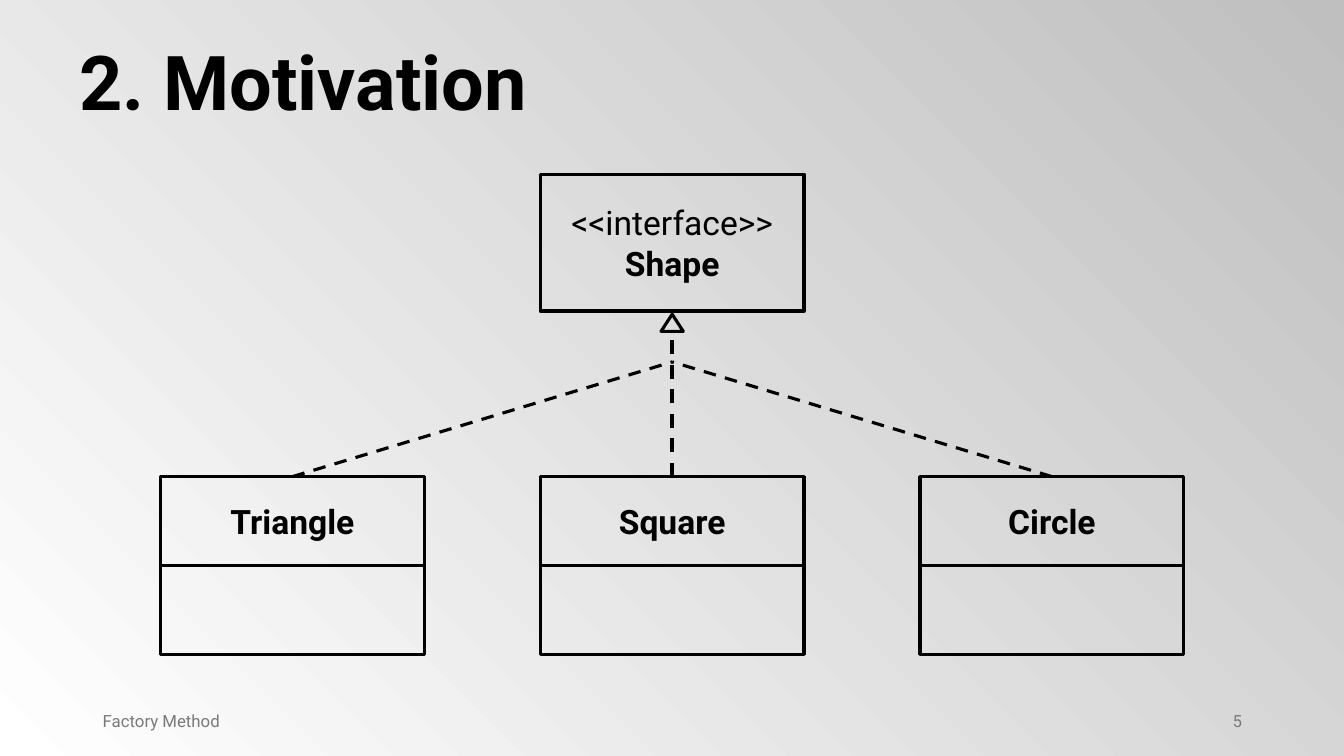
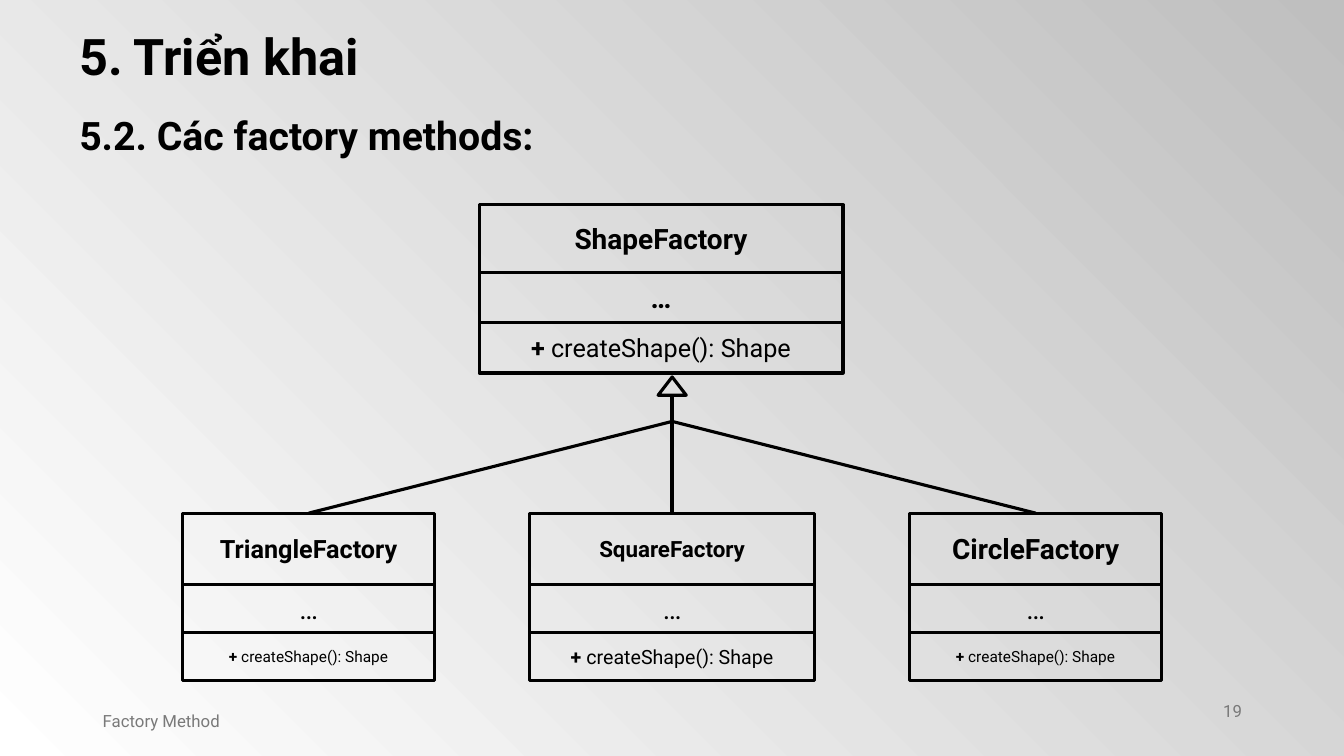
from lxml import etree
from pptx import Presentation
from pptx import util as u
from pptx.dml import color
from pptx.enum import dml, shapes, text
from pptx.oxml import ns

Cm = u.Cm
BLACK = color.RGBColor(0x00, 0x00, 0x00)
WHITE = color.RGBColor(0xFF, 0xFF, 0xFF)
SILVER = color.RGBColor(0xBF, 0xBF, 0xBF)
GREY = color.RGBColor(0x79, 0x79, 0x79)
FONT = "Roboto"
MARGIN = 1.75
CENTRE = 16.94
OUTLINE = 2.25
ALIGN = text.PP_ALIGN
ANCHOR = text.MSO_ANCHOR
OPERATION = [("+ ", True), ("createShape(): Shape", False)]


def write(frame, *lines, size, ink=BLACK, align=ALIGN.CENTER,
          anchor=ANCHOR.MIDDLE, fit=False):
    """Fill a frame; each line is a list of (words, bold) pairs."""
    frame.word_wrap = True
    frame.vertical_anchor = anchor
    if fit:
        frame.auto_size = text.MSO_AUTO_SIZE.SHAPE_TO_FIT_TEXT
    for number, line in enumerate(lines):
        paragraph = frame.add_paragraph() if number else frame.paragraphs[0]
        paragraph.alignment = align
        for words, bold in line:
            run = paragraph.add_run()
            run.text = words
            run.font.name = FONT
            run.font.size = u.Pt(size)
            run.font.bold = bold
            run.font.color.rgb = ink


def label(slide, words, left, top, width, height, bold=False, **style):
    box = slide.shapes.add_textbox(Cm(left), Cm(top), Cm(width), Cm(height))
    write(box.text_frame, [(words, bold)], **style)


def heading(slide, words, top, height, size):
    label(slide, words, MARGIN, top, 22.65, height, bold=True, size=size,
          align=ALIGN.LEFT, anchor=ANCHOR.TOP, fit=True)


def footer(slide, number, number_top):
    label(slide, "Factory Method", 2.34, 17.65, 7.62, 1.02,
          size=12, ink=GREY, align=ALIGN.LEFT)
    label(slide, number, 23.93, number_top, 7.62, 1.02,
          size=12, ink=GREY, align=ALIGN.RIGHT)


def outlined(slide, kind, left, top, width, height):
    shape = slide.shapes.add_shape(kind, Cm(left), Cm(top), Cm(width), Cm(height))
    shape.shadow.inherit = False
    shape.fill.background()
    shape.line.color.rgb = BLACK
    shape.line.width = u.Pt(OUTLINE)
    return shape


def class_box(slide, centre, top, width, rows):
    """Stack compartments; each row is (height, size, lines)."""
    for height, size, lines in rows:
        row = outlined(slide, shapes.MSO_SHAPE.RECTANGLE,
                       centre - width / 2, top, width, height)
        write(row.text_frame, *lines, size=size)
        top += height


def link(slide, start, end, width, dash):
    points = [Cm(value) for value in (*start, *end)]
    connector = slide.shapes.add_connector(shapes.MSO_CONNECTOR.STRAIGHT, *points)
    connector.line.color.rgb = BLACK
    connector.line.width = u.Pt(width)
    if dash:
        connector.line.dash_style = dml.MSO_LINE.DASH
    etree.SubElement(connector._element.spPr, ns.qn("a:effectLst"))


def inheritance(slide, children_top, spread, junction, stem_end, arrow, dash=False):
    """Join three children to one parent; arrow is (top, width, height)."""
    link(slide, (CENTRE, children_top), (CENTRE, stem_end), 2.5, dash)
    for side in (-1, 1):
        link(slide, (CENTRE + side * spread, children_top), (CENTRE, junction),
             OUTLINE, dash)
    top, width, height = arrow
    outlined(slide, shapes.MSO_SHAPE.ISOSCELES_TRIANGLE,
             CENTRE - width / 2, top, width, height)


def motivation_slide(slide):
    heading(slide, "2. Motivation", 0.76, 2.57, 54)
    width, spread, children_top, row = 6.65, 9.57, 12.01, 2.24
    # Interface
    class_box(slide, CENTRE, 4.39, width,
              [(3.45, 24, [[("<<interface>>", False)], [("Shape", True)]])])
    # Implementing classes
    for column, name in enumerate(("Triangle", "Square", "Circle"), -1):
        class_box(slide, CENTRE + column * spread, children_top, width,
                  [(row, 24, [[(name, True)]]), (row, 24, [])])
    inheritance(slide, children_top, spread, junction=9.12, stem_end=8.51,
                arrow=(7.92, 0.56, 0.43), dash=True)
    footer(slide, "5", 17.65)


def factories_slide(slide):
    heading(slide, "5. Triển khai", 0.51, 1.8, 36)
    heading(slide, "5.2. Các factory methods:", 2.67, 1.45, 28)
    spread, children_top = 9.16, 12.93
    inheritance(slide, children_top, spread, junction=10.62, stem_end=9.96,
                arrow=(9.5, 0.71, 0.46))
    # Parent factory
    class_box(slide, 16.66, 5.16, 9.17,
              [(1.7, 20, [[("ShapeFactory", True)]]),
               (1.27, 20, [[("…", True)]]),
               (1.27, 18, [OPERATION])])
    # Concrete factories: name, width, name size, operation size
    factories = (("TriangleFactory", 6.35, 18, 11),
                 ("SquareFactory", 7.19, 16, 14),
                 ("CircleFactory", 6.35, 20, 11))
    for column, (name, width, name_size, operation_size) in enumerate(factories, -1):
        class_box(slide, CENTRE + column * spread, children_top, width,
                  [(1.79, name_size, [[(name, True)]]),
                   (1.21, 20, [[("…", False)]]),
                   (1.21, operation_size, [OPERATION])])
    footer(slide, "19", 17.4)


def main():
    deck = Presentation()
    deck.slide_width, deck.slide_height = Cm(33.87), Cm(19.05)
    # Shared background
    backdrop = deck.slide_master.background.fill
    backdrop.gradient()
    backdrop.gradient_angle = 45
    for stop, shade in zip(backdrop.gradient_stops, (WHITE, SILVER)):
        stop.color.rgb = shade
    blank = deck.slide_layouts[6]
    for build in (motivation_slide, factories_slide):
        build(deck.slides.add_slide(blank))
    deck.save("out.pptx")


if __name__ == "__main__":
    main()
